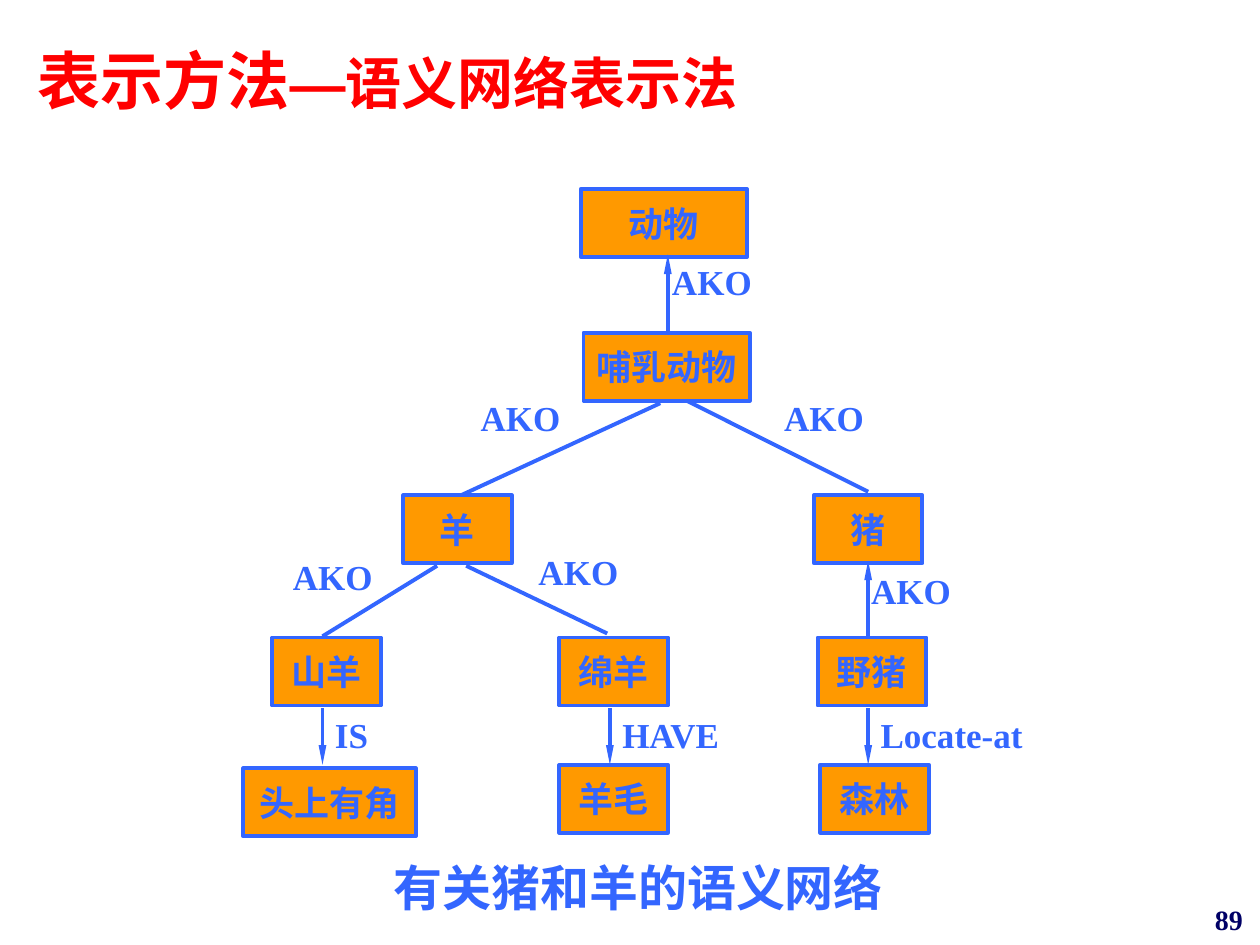
from dataclasses import dataclass

from lxml.etree import SubElement
from pptx import Presentation
from pptx.dml.color import RGBColor
from pptx.enum.shapes import MSO_CONNECTOR, MSO_SHAPE
from pptx.enum.text import MSO_ANCHOR, PP_ALIGN
from pptx.oxml.ns import qn
from pptx.slide import Slide
from pptx.text.text import TextFrame
from pptx.util import Pt


@dataclass(frozen=True)
class Theme:
    red: RGBColor = RGBColor(0xFF, 0x00, 0x00)
    blue: RGBColor = RGBColor(0x33, 0x66, 0xFF)
    orange: RGBColor = RGBColor(0xFF, 0x99, 0x00)
    navy: RGBColor = RGBColor(0x00, 0x00, 0x66)
    serif: str = "Times New Roman"
    sans: str = "Arial"
    chinese: str = "Noto Sans CJK SC"
    title: float = 36
    subtitle: float = 32
    caption: float = 28
    body: float = 20
    number: float = 16
    line: float = 2.25


THEME = Theme()


@dataclass(frozen=True)
class Span:
    text: str
    size: float = THEME.body
    color: RGBColor = THEME.blue
    face: str = THEME.serif
    east_asian: str = THEME.chinese


@dataclass(frozen=True)
class Node:
    text: str
    left: float
    top: float
    width: float = 62
    height: float = 38.9


@dataclass(frozen=True)
class Edge:
    start: tuple[float, float]
    end: tuple[float, float]
    arrow: bool = False


@dataclass(frozen=True)
class Label:
    spans: tuple[Span, ...]
    left: float
    top: float
    width: float = 62
    height: float = 38.9
    align: PP_ALIGN = PP_ALIGN.CENTER


# Tree rows, from the root down
ROOT, CLASS, KIND, BREED, TRAIT = 108, 190.1, 283, 364.3, 437

NODES = [
    Node("动物", 331.9, ROOT, 95),
    Node("哺乳动物", 333.4, CLASS, 95),
    Node("羊", 230.4, KIND),
    Node("猪", 465.1, KIND),
    Node("山羊", 155.5, BREED),
    Node("绵羊", 319.7, BREED),
    Node("野猪", 467.3, BREED),
    Node("头上有角", 139, TRAIT + 2, 98.6),
    Node("羊毛", 319.7, TRAIT),
    Node("森林", 468.7, TRAIT),
]

GOAT, SHEEP, BOAR = 184.3, 348.5, 496.1
EDGES = [
    Edge((381.6, 189.4), (381.6, 145.4), True),
    Edge((BOAR, BREED), (BOAR, 320.4), True),
    *[Edge((x, 404.6), (x, TRAIT), True) for x in (GOAT, SHEEP, BOAR)],
    Edge((263.5, 283), (377.3, 230.4)),
    Edge((BOAR, 281), (392.4, 229)),
    Edge((GOAT, 363.6), (249.8, 323.3)),
    Edge((347, 362), (266.4, 323.3)),
]

AKO_SPOTS = [
    (375.8, 145.4), (266.4, 223.2), (439.9, 223.2),
    (159.1, 313.9), (299.5, 311), (489.6, 321.8),
]
RELATIONS = [("IS", GOAT, 62), ("HAVE", SHEEP, 82), ("Locate-at", BOAR, 101.5)]

LABELS = [
    *[Label((Span("AKO"),), left, top) for left, top in AKO_SPOTS],
    *[Label((Span(text),), x, 403.9, width, align=PP_ALIGN.JUSTIFY)
      for text, x, width in RELATIONS],
    Label((Span("有关猪和羊的语义网络", THEME.caption),), 200.2, 486.7, 329, 49.7),
    Label((
        Span("表示方法", THEME.title, THEME.red, THEME.chinese),
        Span("—", THEME.subtitle, THEME.red, THEME.sans, THEME.sans),
        Span("语义网络表示法", THEME.subtitle, THEME.red, THEME.chinese),
    ), 14.4, 20.2, 612, 70.6, PP_ALIGN.LEFT),
    Label((Span("89", THEME.number, THEME.navy),), 567.4, 511.9, 149.8, 28.1,
          PP_ALIGN.RIGHT),
]


def write(frame: TextFrame, spans: tuple[Span, ...], align: PP_ALIGN) -> None:
    frame.word_wrap = True
    para = frame.paragraphs[0]
    para.alignment = align
    for span in spans:
        run = para.add_run()
        run.text = span.text
        run.font.size = Pt(span.size)
        run.font.bold = True
        run.font.color.rgb = span.color
        run.font.name = span.face
        SubElement(run.font._element, qn("a:ea"), typeface=span.east_asian)


def draw_edge(slide: Slide, edge: Edge) -> None:
    points = [Pt(value) for value in (*edge.start, *edge.end)]
    connector = slide.shapes.add_connector(MSO_CONNECTOR.STRAIGHT, *points)
    connector.line.color.rgb = THEME.blue
    connector.line.width = Pt(THEME.line)
    if edge.arrow:
        SubElement(connector.line._get_or_add_ln(), qn("a:tailEnd"),
                   type="triangle", w="sm", len="lg")
    SubElement(connector._element.spPr, qn("a:effectLst"))


def draw_node(slide: Slide, node: Node) -> None:
    box = slide.shapes.add_shape(MSO_SHAPE.RECTANGLE, Pt(node.left), Pt(node.top),
                                 Pt(node.width), Pt(node.height))
    box.shadow.inherit = False
    box.fill.solid()
    box.fill.fore_color.rgb = THEME.orange
    box.line.color.rgb = THEME.blue
    box.line.width = Pt(THEME.line)
    box.text_frame.vertical_anchor = MSO_ANCHOR.MIDDLE
    write(box.text_frame, (Span(node.text),), PP_ALIGN.CENTER)


def draw_label(slide: Slide, label: Label) -> None:
    box = slide.shapes.add_textbox(Pt(label.left), Pt(label.top),
                                   Pt(label.width), Pt(label.height))
    write(box.text_frame, label.spans, label.align)


def main() -> None:
    deck = Presentation()
    deck.slide_width, deck.slide_height = Pt(720), Pt(540)
    page = deck.slides.add_slide(deck.slide_layouts[6])

    # Boxes, then links, then wording
    for node in NODES:
        draw_node(page, node)
    for edge in EDGES:
        draw_edge(page, edge)
    for label in LABELS:
        draw_label(page, label)

    deck.save("out.pptx")


if __name__ == "__main__":
    main()
